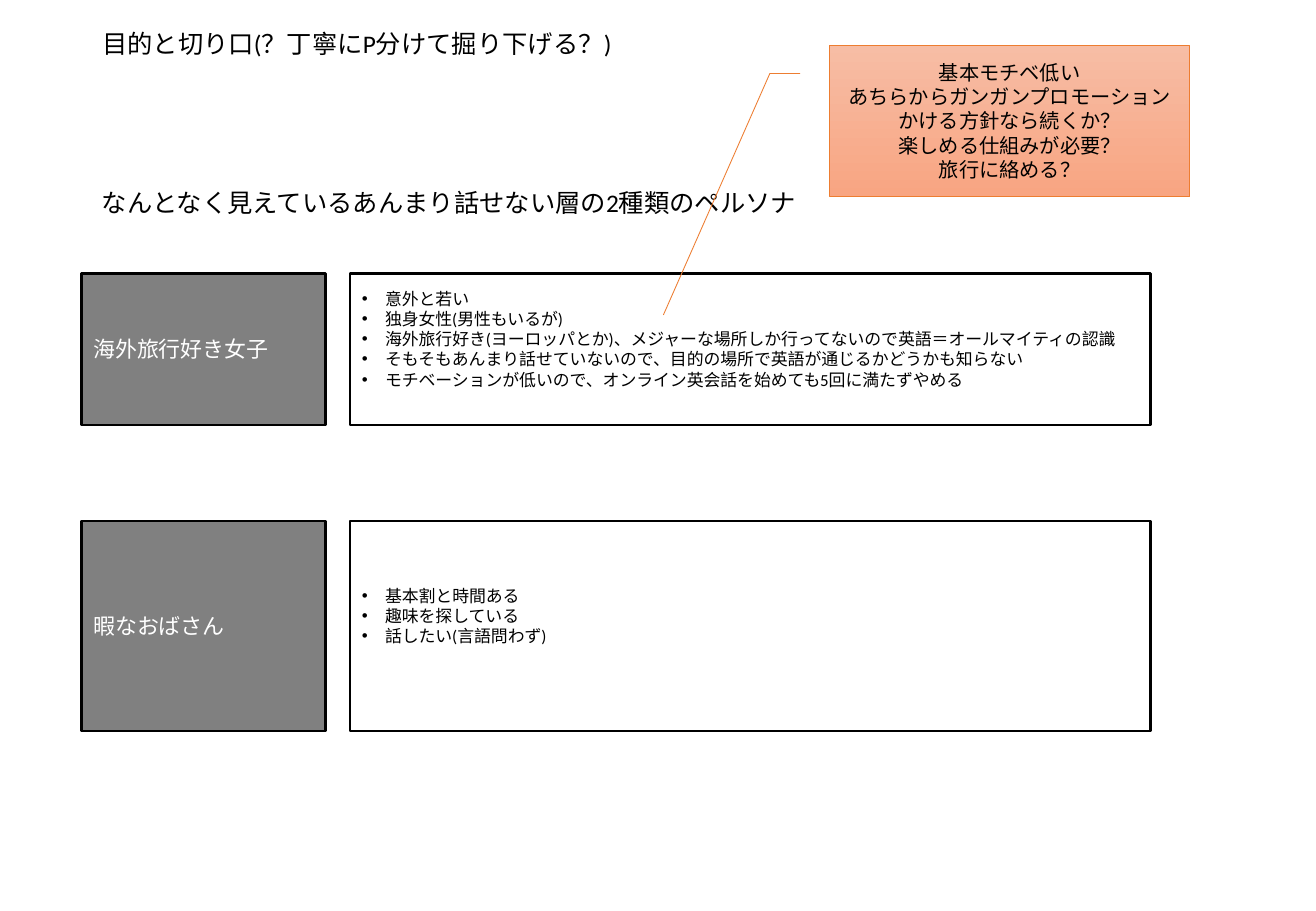
import pptx
import pptx.dml.color
import pptx.enum.shapes
import pptx.enum.text
import pptx.util
from lxml import etree
from pptx.util import Inches

SHAPES = pptx.enum.shapes.MSO_SHAPE
ALIGN = pptx.enum.text.PP_ALIGN
FONT = "Calibri"
BLACK, WHITE, GRAY, ORANGE = "000000", "FFFFFF", "808080", "ED7D31"
PERSONAS = [
    (2.25, 1.25, "海外旅行好き女子", [
        "意外と若い",
        "独身女性(男性もいるが)",
        "海外旅行好き(ヨーロッパとか)、メジャーな場所しか行ってないので英語＝オールマイティの認識",
        "そもそもあんまり話せていないので、目的の場所で英語が通じるかどうかも知らない",
        "モチベーションが低いので、オンライン英会話を始めても5回に満たずやめる",
    ]),
    (4.29, 1.73, "暇なおばさん", [
        "基本割と時間ある",
        "趣味を探している",
        "話したい(言語問わず)",
    ]),
]
CALLOUT_LINES = [
    "基本モチベ低い",
    "あちらからガンガンプロモーションかける方針なら続くか？",
    "楽しめる仕組みが必要？",
    "旅行に絡める？",
]


def rgb(value):
    """Turn a hex string into a colour."""
    return pptx.dml.color.RGBColor.from_string(value)


def write_lines(shape, lines, size, color=BLACK, alignment=ALIGN.LEFT):
    """Write one paragraph per line, centred vertically, and return the paragraphs."""
    frame = shape.text_frame
    frame.word_wrap = True
    frame.auto_size = pptx.enum.text.MSO_AUTO_SIZE.NONE
    frame.vertical_anchor = pptx.enum.text.MSO_ANCHOR.MIDDLE
    for index, line in enumerate(lines):
        paragraph = frame.add_paragraph() if index else frame.paragraphs[0]
        paragraph.alignment = alignment
        run = paragraph.add_run()
        run.text = line
        run.font.name = FONT
        run.font.size = pptx.util.Pt(size)
        run.font.color.rgb = rgb(color)
    return frame.paragraphs


def write_heading(shape, top, text):
    """Place a heading and write its text."""
    shape.left, shape.top = Inches(0.74), Inches(top)
    shape.width, shape.height = Inches(9.34), Inches(0.66)
    write_lines(shape, [text], 15)[0].line_spacing = 0.9


def add_outlined(slide, kind, left, top, width, height, line_color, line_width):
    """Add a preset shape with an outline and no shadow."""
    shape = slide.shapes.add_shape(
        kind, Inches(left), Inches(top), Inches(width), Inches(height))
    shape.shadow.inherit = False
    shape.line.color.rgb = rgb(line_color)
    shape.line.width = pptx.util.Pt(line_width)
    return shape


def add_bullet(paragraph):
    """Give a paragraph a bullet with a hanging indent."""
    properties = paragraph._p.get_or_add_pPr()
    properties.set("marL", str(Inches(0.19)))
    properties.set("indent", str(-Inches(0.19)))
    font = etree.SubElement(properties, pptx.oxml.ns.qn("a:buFont"))
    font.set("typeface", "Arial")
    bullet = etree.SubElement(properties, pptx.oxml.ns.qn("a:buChar"))
    bullet.set("char", "•")


def add_persona(slide, top, height, name, traits):
    """Add a persona's name box and its list of traits."""
    trait_box = add_outlined(slide, SHAPES.RECTANGLE, 2.88, top, 6.59, height, BLACK, 1.5)
    trait_box.fill.background()
    trait_box.text_frame.margin_bottom = Inches(0.22)
    for paragraph in write_lines(trait_box, traits, 10):
        add_bullet(paragraph)
    name_box = add_outlined(slide, SHAPES.RECTANGLE, 0.67, top, 2.01, height, BLACK, 1.5)
    name_box.fill.solid()
    name_box.fill.fore_color.rgb = rgb(GRAY)
    write_lines(name_box, [name], 13, WHITE)


def add_callout(slide):
    """Add the gradient callout that points at the first persona."""
    callout = add_outlined(slide, SHAPES.LINE_CALLOUT_2, 6.83, 0.37, 2.96, 1.25, ORANGE, 0.5)
    for index, value in enumerate([0.188, -0.083, 0.188, -0.167, 1.778, -0.463]):
        callout.adjustments[index] = value
    callout.fill.gradient()
    callout.fill.gradient_angle = 270
    for stop, position, color in zip(callout.fill.gradient_stops, (0, 1), ("F7BDA5", "F8A582")):
        stop.position = position
        stop.color.rgb = rgb(color)
    write_lines(callout, CALLOUT_LINES, 12, alignment=ALIGN.CENTER)


def main():
    """Build the persona slide and save it."""
    presentation = pptx.Presentation()
    presentation.slide_width, presentation.slide_height = Inches(10.83), Inches(7.5)
    slide = presentation.slides.add_slide(presentation.slide_layouts[5])
    write_heading(slide.shapes.title, 0.04, "目的と切り口(？丁寧にP分けて掘り下げる？)")
    for persona in PERSONAS:
        add_persona(slide, *persona)
    subtitle = slide.shapes.add_textbox(0, 0, 0, 0)
    write_heading(subtitle, 1.35, "なんとなく見えているあんまり話せない層の2種類のペルソナ")
    add_callout(slide)
    presentation.save("out.pptx")


if __name__ == "__main__":
    main()
